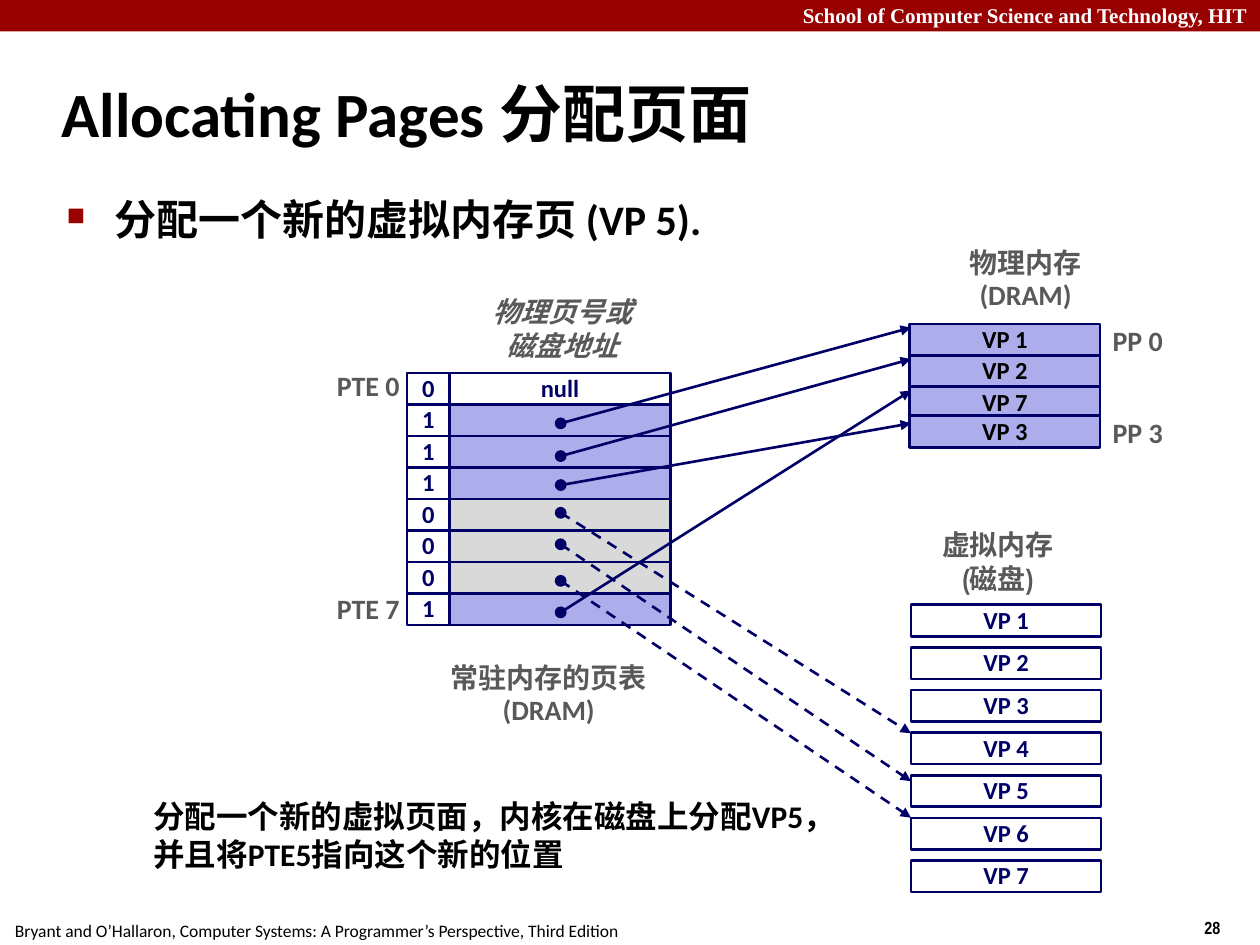
from lxml.etree import SubElement
from pptx import Presentation
from pptx.dml.color import RGBColor
from pptx.enum.dml import MSO_LINE
from pptx.enum.shapes import MSO_CONNECTOR, MSO_SHAPE
from pptx.enum.text import MSO_ANCHOR, MSO_AUTO_SIZE, PP_ALIGN
from pptx.oxml.ns import qn
from pptx.util import Inches, Pt

RED, NAVY, LILAC = "990000", "000066", "ADADEB"
BLACK, WHITE, GRAY, SILVER = "000000", "FFFFFF", "595959", "D9D9D9"
CENTER, RIGHT, LEFT = PP_ALIGN.CENTER, PP_ALIGN.RIGHT, PP_ALIGN.LEFT
ROW = 0.25


def color(value):
    return RGBColor.from_string(value)


def write(paragraph, text, size, ink, font="Calibri", bold=True, italic=False):
    run = paragraph.add_run()
    run.text = text
    run.font.name = font
    run.font.size = Pt(size)
    run.font.bold = bold
    run.font.italic = italic
    run.font.color.rgb = color(ink)


def add_text(slide, box, lines, size, ink, align=LEFT, anchor=MSO_ANCHOR.TOP,
             wrap=False, spacing=None, **style):
    shape = slide.shapes.add_textbox(*map(Inches, box))
    frame = shape.text_frame
    frame.word_wrap = wrap
    frame.auto_size = MSO_AUTO_SIZE.NONE
    frame.vertical_anchor = anchor
    for index, line in enumerate(lines):
        paragraph = frame.add_paragraph() if index else frame.paragraphs[0]
        paragraph.alignment = align
        paragraph.line_spacing = spacing
        write(paragraph, line, size, ink, **style)
    return shape


def add_block(slide, box, fill, line=NAVY, width=1.5, kind=MSO_SHAPE.RECTANGLE,
              text="", ink=NAVY):
    shape = slide.shapes.add_shape(kind, *map(Inches, box))
    shape.shadow.inherit = False
    shape.fill.solid()
    shape.fill.fore_color.rgb = color(fill)
    if line:
        shape.line.color.rgb = color(line)
        shape.line.width = Pt(width)
    else:
        shape.line.fill.background()
    if text:
        frame = shape.text_frame
        frame.word_wrap = False
        frame.vertical_anchor = MSO_ANCHOR.MIDDLE
        paragraph = frame.paragraphs[0]
        paragraph.alignment = CENTER
        paragraph.line_spacing = 0.98
        write(paragraph, text, 14, ink)


def add_arrow(slide, start, end, dashed):
    arrow = slide.shapes.add_connector(
        MSO_CONNECTOR.STRAIGHT, *map(Inches, (*start, *end)))
    arrow.line.color.rgb = color(NAVY)
    arrow.line.width = Pt(1.5)
    if dashed:
        arrow.line.dash_style = MSO_LINE.DASH
    SubElement(arrow.line._get_or_add_ln(), qn("a:tailEnd"), type="triangle")
    SubElement(arrow._element.spPr, qn("a:effectLst"))


def add_label(slide, box, text, align=CENTER):
    add_text(slide, box, [text], 16, GRAY, align, MSO_ANCHOR.MIDDLE, spacing=0.98)


def add_caption(slide, box, lines, italic=False):
    shape = add_text(slide, box, lines, 16, GRAY, CENTER, font="Arial Narrow",
                     italic=italic)
    for paragraph in shape.text_frame.paragraphs:
        for run in paragraph.runs:
            if run.text == "(DRAM)":
                paragraph.line_spacing = 0.98
                run.font.name = "Calibri"


def add_header(slide, box):
    left, top, width, height = box
    add_block(slide, box, RED, line=None)
    add_text(slide, (left, top - 0.03, width, height + 0.05),
             ["School of Computer Science and Technology, HIT"],
             12, WHITE, RIGHT, wrap=True, font="Times New Roman")


def add_footer(slide, box):
    left, top, width, height = box
    add_text(slide, (left, top, 5.01, height),
             ["Bryant and O’Hallaron, Computer Systems: "
              "A Programmer’s Perspective, Third Edition"], 10, BLACK, bold=False)
    add_text(slide, (left + width - 0.75, top - 0.02, 0.75, height),
             ["28"], 10, BLACK, font="Arial Narrow")


def add_bullet(slide, box):
    shape = slide.shapes.add_textbox(*map(Inches, box))
    shape.text_frame.word_wrap = True
    paragraph = shape.text_frame.paragraphs[0]
    properties = paragraph._p.get_or_add_pPr()
    properties.set("marL", str(Inches(0.38)))
    properties.set("indent", str(Inches(-0.38)))
    bullet_color = SubElement(properties, qn("a:buClr"))
    SubElement(bullet_color, qn("a:srgbClr"), val=RED)
    SubElement(properties, qn("a:buSzPct"), val="60000")
    SubElement(properties, qn("a:buChar"), char="■")
    write(paragraph, "分配一个新的虚拟内存页 (VP 5).", 24, BLACK)


def add_page_table(slide, box):
    left, top, width, height = box
    bit_width = 0.34
    fills = {"0": SILVER, "1": LILAC}
    for index, bit in enumerate("01110001"):
        y = top + index * ROW
        null = index == 0
        add_block(slide, (left + bit_width, y, width - bit_width, ROW),
                  WHITE if null else fills[bit], text="null" if null else "")
        add_block(slide, (left, y, bit_width, ROW), WHITE, text=bit)
    for index in (0, 7):
        add_label(slide, (left - 0.66, top + index * ROW - 0.07 + index * 0.003, 0.7, 0.36),
                  f"PTE {index}", RIGHT)
    add_caption(slide, (left + 0.58, top - 0.67, 1.31, 0.64),
                ["物理页号或", "磁盘地址"], italic=True)
    add_caption(slide, (left + 0.25, top + height + 0.23, 1.75, 0.63),
                ["常驻内存的页表", "(DRAM)"])


def add_physical_memory(slide, box):
    left, top, width, height = box
    rows = ((0, 1), (0.25, 2), (0.5, 7), (0.73, 3))
    for offset, page in rows:
        add_block(slide, (left, top + offset, width, ROW), LILAC,
                  text=f"VP {page}", ink=BLACK)
    for index in (0, 3):
        add_label(slide, (left + width, top + rows[index][0] - 0.04, 0.6, 0.36),
                  f"PP {index}")
    add_caption(slide, (left + 0.38, top - 0.67, 1.08, 0.62), ["物理内存", "(DRAM)"])


def add_virtual_memory(slide, box):
    left, top, width, height = box
    pitch = (height - ROW) / 6
    for index in range(7):
        add_block(slide, (left, top + index * pitch, width, ROW), WHITE,
                  text=f"VP {index + 1}")
    add_caption(slide, (left + 0.15, top - 0.66, 1.08, 0.64), ["虚拟内存", "(磁盘)"])


def add_pointers(slide, box):
    left, top, width, height = box
    dot = 0.08
    pointers = ((0.76, 0, False), (1.02, 0.25, False), (1.25, 0.76, False),
                (1.47, 3.22, True), (1.72, 3.6, True), (2.01, height, True),
                (2.26, 0.5, False))
    for start, end, dashed in pointers:
        add_arrow(slide, (left, top + start), (left + width, top + end), dashed)
        add_block(slide, (left - dot / 2, top + start - dot / 2, dot, dot),
                  NAVY, width=1, kind=MSO_SHAPE.OVAL)


def main():
    presentation = Presentation()
    presentation.slide_width = Inches(10)
    presentation.slide_height = Inches(7.5)
    slide = presentation.slides.add_slide(presentation.slide_layouts[6])
    add_header(slide, (0, 0, 10, 0.25))
    add_footer(slide, (0.02, 7.25, 10.19, 0.27))
    add_text(slide, (0.39, 0.48, 8.3, 0.83), ["Allocating Pages 分配页面"], 36, BLACK,
             anchor=MSO_ANCHOR.MIDDLE, wrap=True)
    add_bullet(slide, (0.43, 1.49, 8.64, 0.6))
    add_page_table(slide, (3.23, 2.96, 2.09, 2))
    add_physical_memory(slide, (7.22, 2.57, 1.51, 0.98))
    add_virtual_memory(slide, (7.23, 4.8, 1.51, 2.28))
    add_pointers(slide, (4.45, 2.6, 2.78, 3.89))
    add_text(slide, (1.12, 6.28, 5.77, 0.7),
             ["分配一个新的虚拟页面，内核在磁盘上分配VP5，并且将PTE5指向这个新的位置"],
             18, BLACK, wrap=True)
    presentation.save("out.pptx")


if __name__ == "__main__":
    main()
